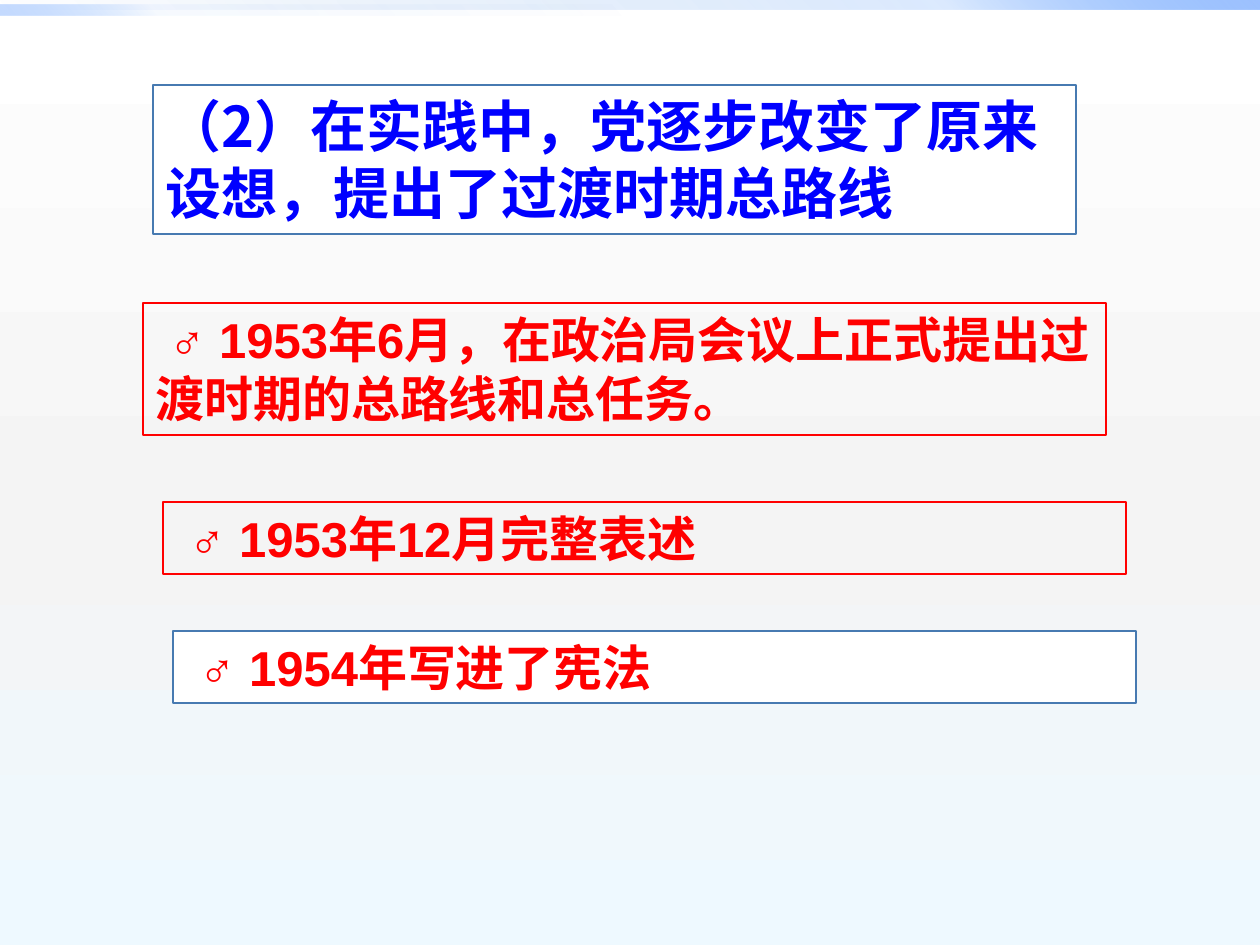
from lxml import etree
from pptx import Presentation
from pptx.dml.color import RGBColor
from pptx.enum.shapes import MSO_SHAPE
from pptx.enum.text import MSO_ANCHOR, PP_ALIGN
from pptx.oxml.ns import qn
from pptx.util import Emu, Pt

RECTANGLE = MSO_SHAPE.RECTANGLE
TOP = MSO_ANCHOR.TOP
LEFT = PP_ALIGN.LEFT

WHITE = RGBColor(0xFF, 0xFF, 0xFF)
LIGHT_GREY = RGBColor(0xF4, 0xF4, 0xF4)
PALE_BLUE = RGBColor(0xEE, 0xF9, 0xFF)
DEEP_BLUE = RGBColor(0x00, 0x58, 0xB7)
MID_BLUE = RGBColor(0x4F, 0x95, 0xFF)
SKY_BLUE = RGBColor(0x9E, 0xC2, 0xFF)
STEEL = RGBColor(0x47, 0x7A, 0xB1)
BLUE = RGBColor(0x00, 0x00, 0xFF)
RED = RGBColor(0xFF, 0x00, 0x00)

LATIN_FONT = "Arial"
CHINESE_FONT = "Noto Sans CJK SC"
PX_PER_INCH = 126


def px(length):
    return Emu(round(length * 914400 / PX_PER_INCH))


def set_gradient(fill, element, stops, clockwise_angle):
    fill.gradient()
    fill.gradient_angle = 360 - clockwise_angle
    stop_list = element.find(".//" + qn("a:gsLst"))
    for stop in list(stop_list):
        stop_list.remove(stop)
    for position, color, opacity in stops:
        stop = etree.SubElement(stop_list, qn("a:gs"), pos=str(position * 1000))
        tint = etree.SubElement(stop, qn("a:srgbClr"), val=str(color))
        if opacity < 100:
            etree.SubElement(tint, qn("a:alpha"), val=str(opacity * 1000))


def add_rectangle(page, box):
    shape = page.shapes.add_shape(RECTANGLE, *map(px, box))
    shape.shadow.inherit = False
    return shape


def add_background(page):
    background_stops = [(0, WHITE, 100), (55, LIGHT_GREY, 100), (100, PALE_BLUE, 100)]
    set_gradient(page.background.fill, page.element, background_stops, 90)


def add_top_bar(page, box, opacities, angle):
    bar = add_rectangle(page, box)
    bar.line.fill.background()
    stops = list(zip((0, 75, 100), (DEEP_BLUE, MID_BLUE, SKY_BLUE), opacities))
    set_gradient(bar.fill, bar.element, stops, angle)


def add_statement(page, box, text, line, fill=None, size=28, color=RED, font=LATIN_FONT):
    shape = add_rectangle(page, box)
    shape.line.color.rgb = line
    shape.line.width = Pt(0.75)
    if fill is None:
        shape.fill.background()
    else:
        shape.fill.solid()
        shape.fill.fore_color.rgb = fill
    frame = shape.text_frame
    frame.word_wrap = True
    frame.vertical_anchor = TOP
    para = frame.paragraphs[0]
    para.text = text
    para.alignment = LEFT
    para.font.size = Pt(size)
    para.font.bold = True
    para.font.color.rgb = color
    para.font.name = font
    latin = para._p.find(".//" + qn("a:latin"))
    latin.addnext(latin.makeelement(qn("a:ea"), {"typeface": CHINESE_FONT}))


def main():
    deck = Presentation()
    deck.slide_width = px(1260)
    deck.slide_height = px(945)
    page = deck.slides.add_slide(deck.slide_layouts[6])

    add_background(page)
    add_top_bar(page, (0, 0, 1260, 10), (0, 20, 100), 315)
    add_top_bar(page, (0, 5, 630, 10), (0, 5, 60), 135)

    add_statement(page, (153, 85, 923, 149),
                  "（2）在实践中，党逐步改变了原来设想，提出了过渡时期总路线",
                  STEEL, WHITE, 32, BLUE, CHINESE_FONT)
    add_statement(page, (143, 303, 963, 132),
                  " ♂ 1953年6月，在政治局会议上正式提出过渡时期的总路线和总任务。", RED)
    add_statement(page, (163, 502, 963, 72), " ♂ 1953年12月完整表述", RED)
    add_statement(page, (173, 631, 963, 72), " ♂ 1954年写进了宪法", STEEL, WHITE)

    deck.save("out.pptx")


if __name__ == "__main__":
    main()
